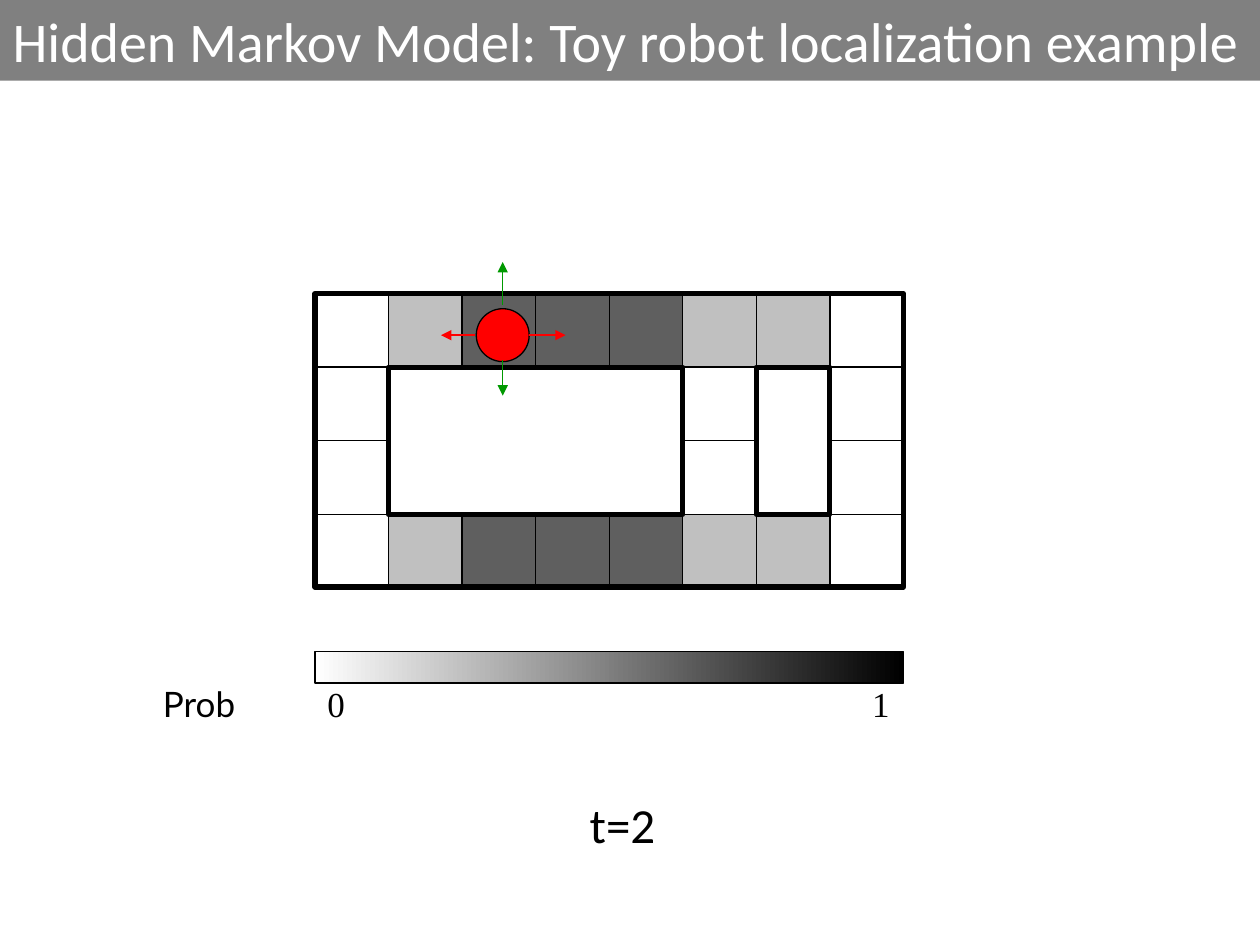
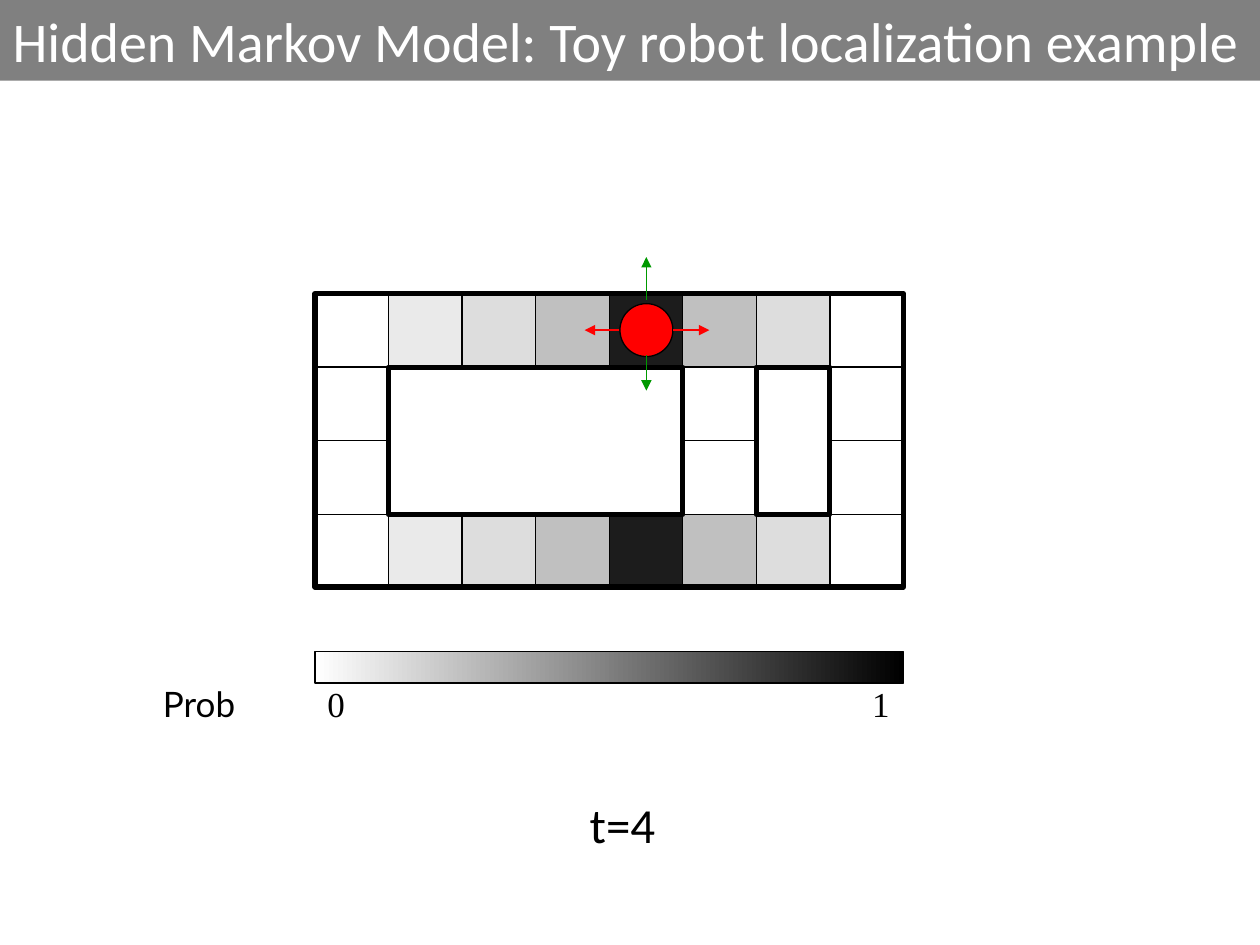
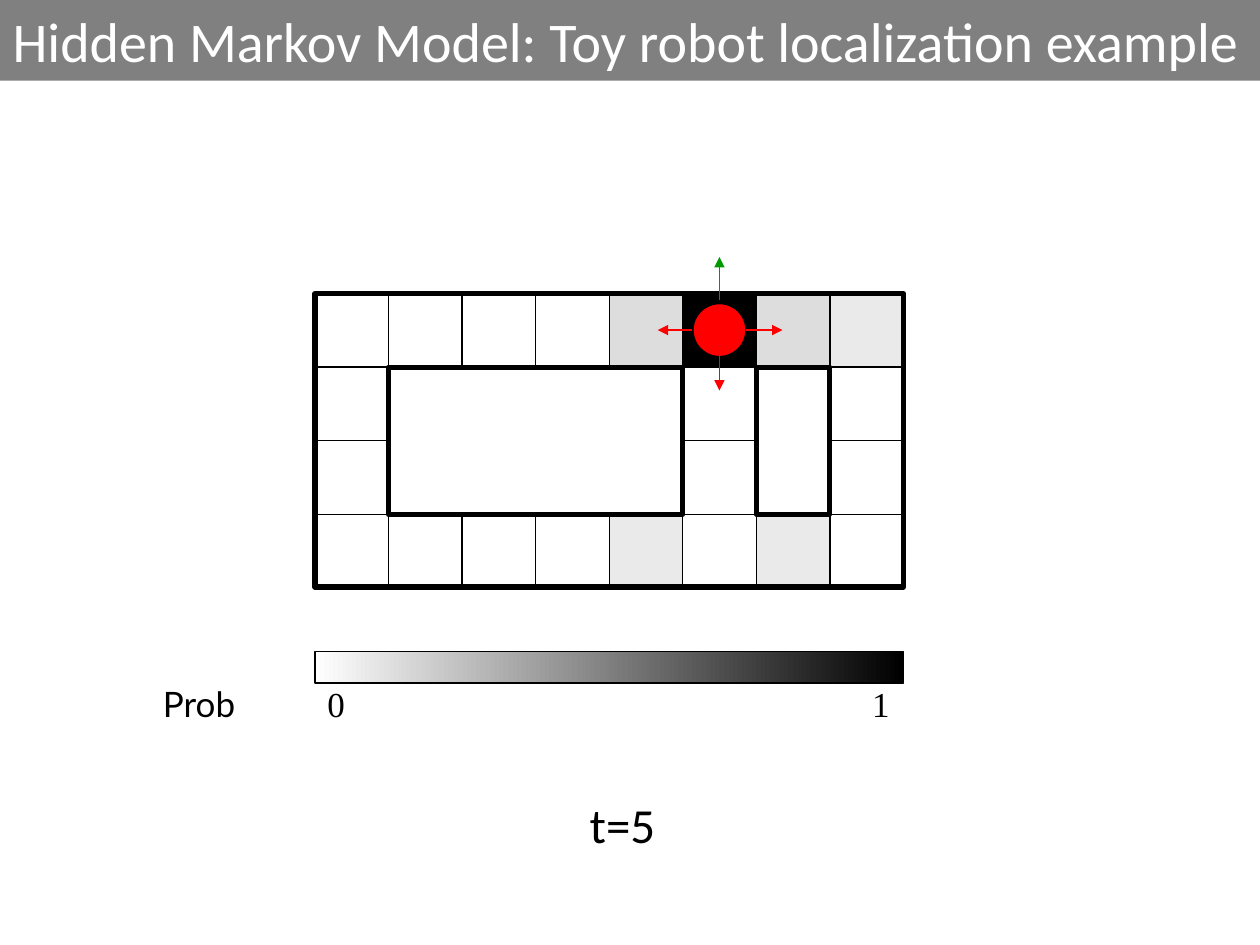
from lxml.etree import SubElement
from pptx import Presentation
from pptx.dml.color import RGBColor
from pptx.enum.shapes import MSO_CONNECTOR, MSO_SHAPE
from pptx.enum.text import MSO_ANCHOR, MSO_AUTO_SIZE, PP_ALIGN
from pptx.oxml.ns import qn
from pptx.util import Inches, Pt

# Shared look
TITLE = "Hidden Markov Model: Toy robot localization example"
BLACK, WHITE, BAND = "000000", "FFFFFF", "808080"
RED, GREEN = "FF0000", "009900"

# Maze geometry in inches: 8 columns by 4 rows
MAZE_LEFT, MAZE_TOP = 2.5, 2.33
MAZE_WIDTH, MAZE_HEIGHT = 4.67, 2.33
CELL = MAZE_WIDTH / 8
WALL = "#"
CORRIDOR_ROW = ".####.#."
SHADES = {".": None, "a": "EAEAEA", "b": "DDDDDD", "c": "C0C0C0",
          "d": "5F5F5F", "e": "1C1C1C", "f": BLACK}

# Robot arrows: start and end measured from the robot's centre
ROBOT_RADIUS = 0.21
ARROWS = {"up": ((0, -0.24), (0, -0.58)), "down": ((0, 0.2), (0, 0.48)),
          "left": ((-0.22, 0), (-0.49, 0)), "right": ((0.21, 0), (0.5, 0))}

# Time step, top row, bottom row, robot centre, colour of the down arrow
STEPS = [
    (2, ".cdddcc.", ".cdddcc.", (3.99, 2.66), GREEN),
    (4, ".abcecb.", ".abcecb.", (5.13, 2.62), GREEN),
    (5, "....bfba", "....a.a.", (5.71, 2.62), RED),
]


def color(value):
    return RGBColor.from_string(value)


def apply_format(target, values):
    for name, value in values.items():
        setattr(target, name, value)


def place(shape, left, top, width, height):
    apply_format(shape, {"left": Inches(left), "top": Inches(top),
                         "width": Inches(width), "height": Inches(height)})


def write(shape, text, font, size, ink, paragraph_format, frame_format):
    frame = shape.text_frame
    apply_format(frame, frame_format)
    paragraph = frame.paragraphs[0]
    apply_format(paragraph, paragraph_format)
    run = paragraph.add_run()
    run.text = text
    apply_format(run.font, {"name": font, "size": Pt(size)})
    run.font.color.rgb = color(ink)


def add_figure(slide, kind, left, top, width, height, fill=None, weight=0.75):
    shape = slide.shapes.add_shape(kind, Inches(left), Inches(top), Inches(width), Inches(height))
    shape.shadow.inherit = False
    if fill:
        shape.fill.solid()
        shape.fill.fore_color.rgb = color(fill)
    else:
        shape.fill.background()
    shape.line.color.rgb = color(BLACK)
    shape.line.width = Pt(weight)
    return shape


def add_arrow(slide, start, end, ink):
    ends = [Inches(value) for value in (*start, *end)]
    connector = slide.shapes.add_connector(MSO_CONNECTOR.STRAIGHT, *ends)
    connector.line.color.rgb = color(ink)
    connector.line.width = Pt(0.75)
    properties = connector.element.spPr
    SubElement(properties.find(qn("a:ln")), qn("a:tailEnd"), type="triangle")
    SubElement(properties, qn("a:effectLst"))


def add_title_band(slide):
    title = slide.shapes.title
    place(title, 0, 0, 10, 0.64)
    title.fill.solid()
    title.fill.fore_color.rgb = color(BAND)
    write(title, TITLE, "Calibri", 32, WHITE, {"alignment": PP_ALIGN.LEFT},
          {"vertical_anchor": MSO_ANCHOR.TOP, "auto_size": MSO_AUTO_SIZE.NONE})


def add_time_label(slide, time):
    body = slide.placeholders[1]
    place(body, 0.69, 6.31, 8.5, 1)
    properties = body.text_frame.paragraphs[0]._p.get_or_add_pPr()
    apply_format(properties, {"marL": Inches(0.25), "indent": Inches(-0.25)})
    SubElement(properties, qn("a:buNone"))
    write(body, f"t={time}", "Calibri", 28, BLACK,
          {"alignment": PP_ALIGN.CENTER, "line_spacing": 0.9, "space_before": Pt(0)},
          {"auto_size": MSO_AUTO_SIZE.NONE})


def add_maze(slide, top_row, bottom_row):
    # Cells shaded by probability
    for row, codes in enumerate((top_row, CORRIDOR_ROW, CORRIDOR_ROW, bottom_row)):
        for column, code in enumerate(codes):
            if code != WALL:
                add_figure(slide, MSO_SHAPE.RECTANGLE, MAZE_LEFT + column * CELL,
                           MAZE_TOP + row * CELL, CELL, CELL, SHADES[code])
    # Two solid blocks and the outer wall
    for column, span in ((1, 4), (6, 1)):
        add_figure(slide, MSO_SHAPE.RECTANGLE, MAZE_LEFT + column * CELL,
                   MAZE_TOP + CELL, span * CELL, 2 * CELL, WHITE, 3)
    add_figure(slide, MSO_SHAPE.RECTANGLE, MAZE_LEFT, MAZE_TOP,
               MAZE_WIDTH, MAZE_HEIGHT, weight=3)


def add_robot(slide, center, down_ink):
    x, y = center
    add_figure(slide, MSO_SHAPE.OVAL, x - ROBOT_RADIUS, y - ROBOT_RADIUS,
               2 * ROBOT_RADIUS, 2 * ROBOT_RADIUS, RED)
    inks = {"up": GREEN, "down": down_ink, "left": RED, "right": RED}
    for direction, (start, end) in ARROWS.items():
        add_arrow(slide, (x + start[0], y + start[1]), (x + end[0], y + end[1]),
                  inks[direction])


def add_scale(slide):
    bar = add_figure(slide, MSO_SHAPE.RECTANGLE, MAZE_LEFT, 5.17, MAZE_WIDTH, 0.25)
    bar.fill.gradient()
    bar.fill.gradient_angle = 0
    for stop, ink in zip(bar.fill.gradient_stops, (WHITE, BLACK)):
        stop.color.rgb = color(ink)
    labels = [("Prob", "Lato", 0.83, 1.5, PP_ALIGN.CENTER),
              ("0", "Times New Roman", MAZE_LEFT, 2.33, PP_ALIGN.LEFT),
              ("1", "Times New Roman", 4.83, 2.33, PP_ALIGN.RIGHT)]
    for text, font, left, width, alignment in labels:
        box = slide.shapes.add_textbox(Inches(left), Inches(5.42), Inches(width), Inches(0.33))
        write(box, text, font, 20, BLACK, {"alignment": alignment},
              {"vertical_anchor": MSO_ANCHOR.MIDDLE, "word_wrap": False})


def main():
    presentation = Presentation()
    presentation.slide_width = Inches(10)
    presentation.slide_height = Inches(7.5)
    for time, top_row, bottom_row, center, down_ink in STEPS:
        slide = presentation.slides.add_slide(presentation.slide_layouts[1])
        add_title_band(slide)
        add_time_label(slide, time)
        add_maze(slide, top_row, bottom_row)
        add_scale(slide)
        add_robot(slide, center, down_ink)
    presentation.save("out.pptx")


if __name__ == "__main__":
    main()
